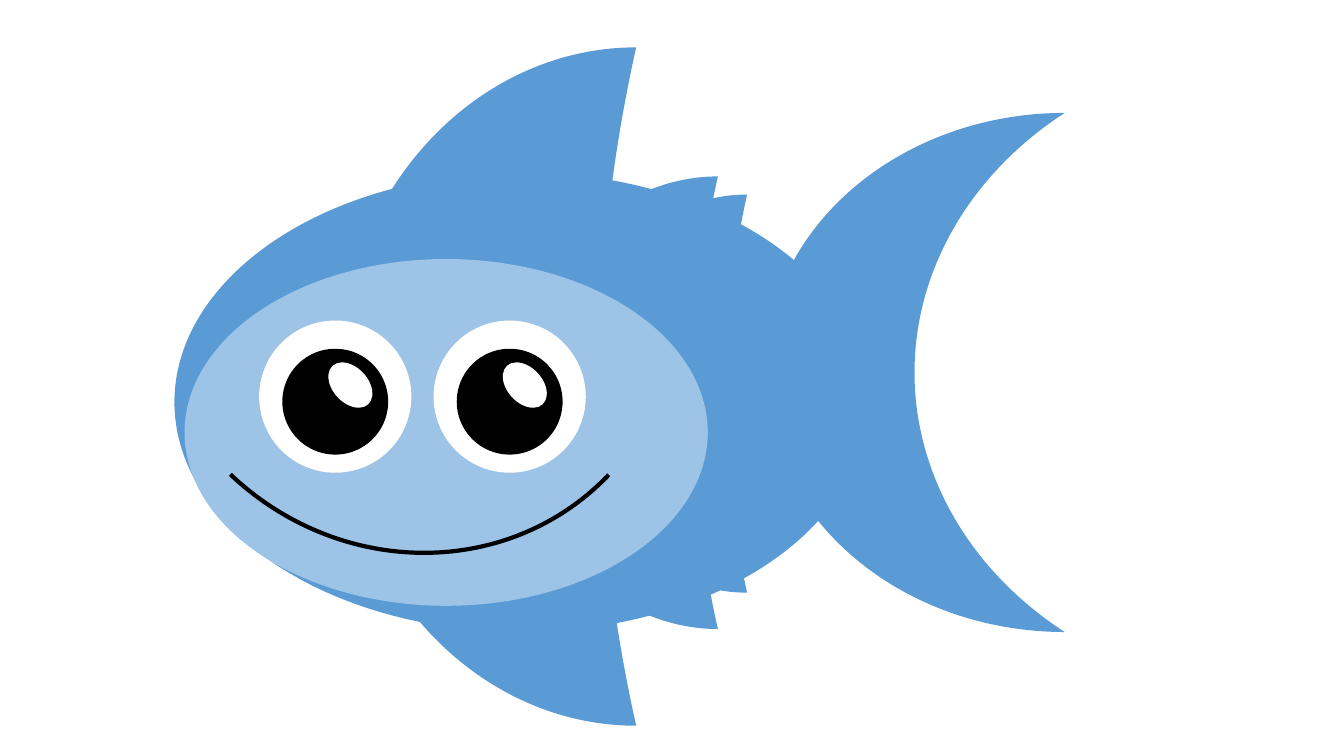
import pptx
import pptx.dml.color
import pptx.enum.shapes
import pptx.util

Inches = pptx.util.Inches
RGBColor = pptx.dml.color.RGBColor
SHAPE = pptx.enum.shapes.MSO_SHAPE

BODY_BLUE = RGBColor(0x5B, 0x9B, 0xD5)
FACE_BLUE = RGBColor(0x9D, 0xC3, 0xE6)
WHITE = RGBColor(0xFF, 0xFF, 0xFF)
BLACK = RGBColor(0x00, 0x00, 0x00)

FIN_THICKNESS = 0.875
TAIL_THICKNESS = 0.5
EYE_LEFTS = (2.57, 4.30)
EYE_TOP = 3.18


class FishSlide:
    def __init__(self, slide):
        self.slide = slide

    def add_shape(self, kind, left, top, width, height, rotation=0):
        shape = self.slide.shapes.add_shape(
            kind, Inches(left), Inches(top), Inches(width), Inches(height))
        shape.shadow.inherit = False
        shape.rotation = rotation
        return shape

    def add_filled(self, kind, color, left, top, width, height, rotation=0):
        shape = self.add_shape(kind, left, top, width, height, rotation)
        shape.fill.solid()
        shape.fill.fore_color.rgb = color
        shape.line.fill.background()
        return shape

    def add_oval(self, color, left, top, width, height, rotation=0):
        self.add_filled(SHAPE.OVAL, color, left, top, width, height, rotation)

    def add_fin(self, left, top, width, height, thickness=FIN_THICKNESS):
        """Add a crescent whose two tips show as a pair of fins."""
        fin = self.add_filled(SHAPE.MOON, BODY_BLUE, left, top, width, height)
        fin.adjustments[0] = thickness

    def add_eye(self, left, top):
        self.add_oval(WHITE, left, top, 1.51, 1.51)
        self.add_oval(BLACK, left + 0.23, top + 0.28, 1.05, 1.05)
        self.add_oval(WHITE, left + 0.73, top + 0.38, 0.35, 0.52, 317.3)

    def add_smile(self, left, top, width, height, rotation):
        smile = self.add_shape(SHAPE.ARC, left, top, width, height, rotation)
        smile.fill.background()
        smile.line.color.rgb = BLACK
        smile.line.width = pptx.util.Pt(3)


def main():
    presentation = pptx.Presentation()
    presentation.slide_width = Inches(13.33)
    presentation.slide_height = Inches(7.5)
    fish = FishSlide(presentation.slides.add_slide(presentation.slide_layouts[6]))

    fish.add_fin(3.33, 0.47, 2.98, 6.73)
    fish.add_oval(BODY_BLUE, 1.73, 1.71, 6.88, 4.56)
    fish.add_fin(7.58, 1.12, 2.98, 5.15, TAIL_THICKNESS)
    fish.add_fin(5.13, 1.75, 1.99, 4.49)
    fish.add_fin(5.66, 1.93, 1.75, 3.95)

    fish.add_oval(FACE_BLUE, 1.83, 2.57, 5.19, 3.44)
    for eye_left in EYE_LEFTS:
        fish.add_eye(eye_left, EYE_TOP)
    fish.add_smile(1.48, 0.11, 5.16, 5.45, 133.5)

    presentation.save("out.pptx")


if __name__ == "__main__":
    main()
